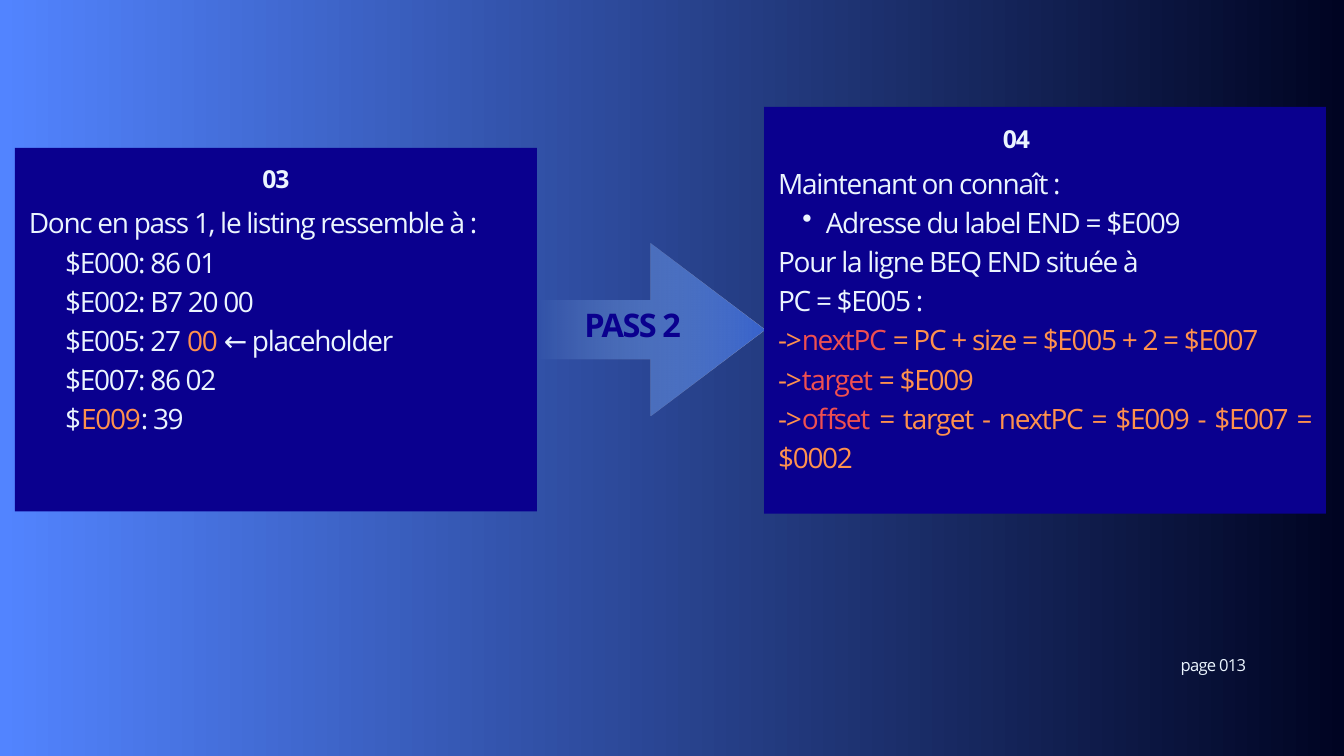
import pptx
import pptx.dml.color
import pptx.enum.shapes
import pptx.enum.text
import pptx.oxml
import pptx.oxml.ns
import pptx.util

WIDTH, HEIGHT = pptx.util.Inches(20), pptx.util.Inches(11.25)
FONT = "Open Sans"
NAVY, PALE, ORANGE, RED = "0A008E", "EBF5FE", "FF914D", "F05050"
ALIGN = pptx.enum.text.PP_ALIGN
SHAPE = pptx.enum.shapes.MSO_SHAPE

# Each line is (style, runs); each run is (text, colour)
LISTING = [
    ("plain", [("Donc en pass 1, le listing ressemble à :", PALE)]),
    ("code", [("$E000: 86 01", PALE)]),
    ("code", [("$E002: B7 20 00", PALE)]),
    ("code", [("$E005: 27 ", PALE), ("00", ORANGE), (" ← placeholder", PALE)]),
    ("code", [("$E007: 86 02", PALE)]),
    ("code", [("$", PALE), ("E009", ORANGE), (": 39", PALE)]),
]
RESULTS = [
    ("nextPC", " = PC + size = $E005 + 2 = $E007"),
    ("target", " = $E009"),
    ("offset", " = target - nextPC = $E009 - $E007 = $0002"),
]
OFFSET = [
    ("plain", [("Maintenant on connaît :", PALE)]),
    ("bullet", [("Adresse du label END = $E009", PALE)]),
    ("plain", [("Pour la ligne BEQ END située à ", PALE)]),
    ("plain", [("PC = $E005 :", PALE)]),
] + [
    ("plain", [("->", ORANGE), (name, RED), (value, ORANGE)])
    for name, value in RESULTS
]


def colour(code):
    return pptx.dml.color.RGBColor.from_string(code)


def area(left, top, width, height):
    """Turn percentages of the slide into lengths."""
    return (int(WIDTH * left / 100), int(HEIGHT * top / 100),
            int(WIDTH * width / 100), int(HEIGHT * height / 100))


def fill_gradient(fill, start, end):
    fill.gradient()
    fill.gradient_angle = 0
    for stop, code in zip(fill.gradient_stops, (start, end)):
        stop.color.rgb = colour(code)


def add_block(page, kind, place):
    block = page.shapes.add_shape(kind, *area(*place))
    block.shadow.inherit = False
    block.line.fill.background()
    return block


def indent(para, left, first=0, bullet=None):
    props = para._p.get_or_add_pPr()
    props.set("marL", str(pptx.util.Inches(left)))
    props.set("indent", str(pptx.util.Inches(first)))
    if bullet:
        mark = pptx.oxml.parse_xml(
            f'<a:buChar {pptx.oxml.ns.nsdecls("a")} char="{bullet}"/>')
        props.append(mark)


def add_text(page, place, lines, size, leading, tracking,
             align=ALIGN.LEFT, bold=False, inset=0, middle=False):
    box = page.shapes.add_textbox(*area(*place))
    frame = box.text_frame
    frame.word_wrap = True
    frame.margin_left = frame.margin_right = pptx.util.Inches(inset)
    frame.margin_top = frame.margin_bottom = pptx.util.Inches(inset)
    if middle:
        frame.vertical_anchor = pptx.enum.text.MSO_ANCHOR.MIDDLE
    for index, (style, runs) in enumerate(lines):
        para = frame.add_paragraph() if index else frame.paragraphs[0]
        para.alignment = align
        para.line_spacing = pptx.util.Pt(leading)
        if style == "code":
            indent(para, 0.54)
        elif style == "bullet":
            indent(para, 0.71, -0.35, "•")
        for text, code in runs:
            span = para.add_run()
            span.text = text
            span.font.name = FONT
            span.font.size = pptx.util.Pt(size)
            span.font.bold = bold
            span.font.color.rgb = colour(code)
            span.font._element.set("spc", str(round(tracking * 100)))


def add_panel(page, place, number, number_left, number_top, lines):
    left, top, width, height = place
    panel = add_block(page, SHAPE.RECTANGLE, place)
    panel.fill.solid()
    panel.fill.fore_color.rgb = colour(NAVY)
    body_top = number_top + 5.51
    body = (left + 1.05, body_top, width - 2.1, top + height - body_top)
    add_text(page, body, lines, 30, 42, -1.4, ALIGN.JUSTIFY)
    add_text(page, (number_left, number_top, 3.35, 4.27),
             [("plain", [(number, PALE)])], 26.5, 37.1, -1.2,
             ALIGN.CENTER, bold=True)


def add_arrow(page):
    arrow = add_block(page, SHAPE.RIGHT_ARROW, (39.95, 32.18, 16.9, 22.76))
    arrow.adjustments[0] = 0.34
    arrow.adjustments[1] = 0.66
    fill_gradient(arrow.fill, "9FCDFF", "3964CD")
    # The tail end fades out completely
    first = arrow._element.spPr.find(".//" + pptx.oxml.ns.qn("a:srgbClr"))
    first.append(pptx.oxml.parse_xml(
        f'<a:alpha {pptx.oxml.ns.nsdecls("a")} val="0"/>'))
    add_text(page, (39.95, 37.6, 14.75, 9.87),
             [("plain", [("PASS 2 ", NAVY)])], 34.8, 48.7, -1.6,
             ALIGN.CENTER, bold=True, inset=0.06, middle=True)


def main():
    deck = pptx.Presentation()
    deck.slide_width, deck.slide_height = WIDTH, HEIGHT
    page = deck.slides.add_slide(deck.slide_layouts[6])
    fill_gradient(page.background.fill, "5284FF", "000422")

    # Arrow between the two passes
    add_arrow(page)

    # Page number
    add_text(page, (87.85, 86.13, 6.5, 2.93),
             [("plain", [("page 013", PALE)])], 17.8, 24.9, -0.8)

    # Panels
    add_panel(page, (56.85, 14.13, 41.8, 53.8), "04", 73.95, 15.73, OFFSET)
    add_panel(page, (1.1, 19.56, 38.85, 48.1), "03", 18.85, 20.98, LISTING)

    deck.save("out.pptx")


if __name__ == "__main__":
    main()
